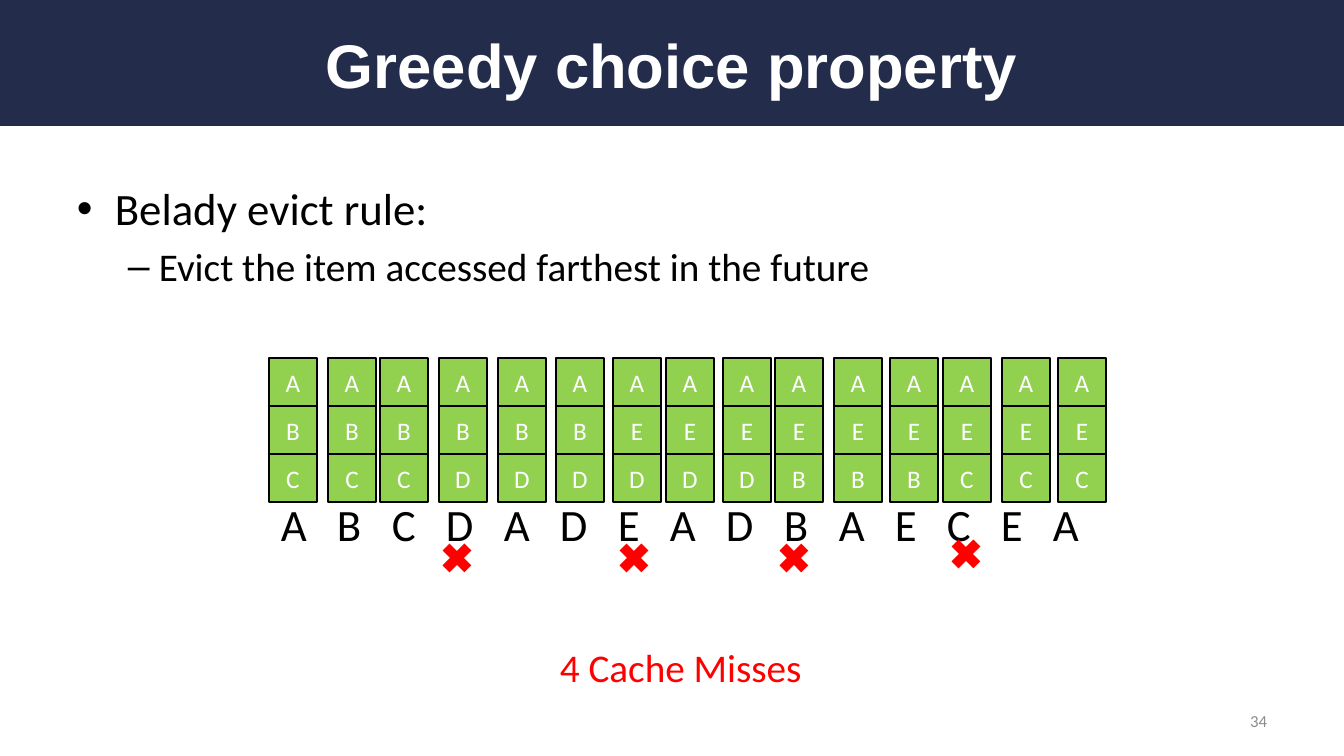
from dataclasses import dataclass
from itertools import accumulate

from lxml import etree
from pptx import Presentation
from pptx import util as u
from pptx.dml.color import RGBColor
from pptx.enum import shapes, text
from pptx.oxml import ns

NAVY = RGBColor(0x23, 0x2D, 0x4B)
GREEN = RGBColor(0x92, 0xD0, 0x50)
RED = RGBColor(0xFF, 0x00, 0x00)
GRAY = RGBColor(0x8C, 0x8C, 0x8C)
BLACK = RGBColor(0x00, 0x00, 0x00)
WHITE = RGBColor(0xFF, 0xFF, 0xFF)

CELL = 48
CACHE_TOP = 358
MISS_SIZE = 42
ACCESSES = "ABCDADEADBAECEA"
ADVANCE = {"A": 56, "B": 55, "C": 54, "D": 58, "E": 52}


@dataclass(frozen=True)
class Cache:
    left: int
    items: str


@dataclass(frozen=True)
class Miss:
    left: int
    top: int = 537


@dataclass(frozen=True)
class Bullet:
    label: str
    char: str
    size: int
    level: int
    margin: int
    hanging: int
    before: float


CACHES = [
    Cache(269, "ABC"), Cache(328, "ABC"), Cache(380, "ABC"),
    Cache(439, "ABD"), Cache(498, "ABD"), Cache(556, "ABD"),
    Cache(613, "AED"), Cache(666, "AED"), Cache(723, "AED"),
    Cache(775, "AEB"), Cache(834, "AEB"), Cache(890, "AEB"),
    Cache(943, "AEC"), Cache(1002, "AEC"), Cache(1058, "AEC"),
]
MISSES = [Miss(436), Miss(613), Miss(773), Miss(945, 533)]
BULLETS = [
    Bullet("Belady evict rule:", "•", 32, 0, 38, 38, 0),
    Bullet("Evict the item accessed farthest in the future", "–", 28, 1, 82, 31, 5.6),
]


def px(n: int) -> u.Emu:
    return u.Emu(round(n * 914400 / 100.8))


def write(p, label: str, *, size: int, color=BLACK, font="Calibri", bold=False,
          align=text.PP_ALIGN.LEFT) -> None:
    p.alignment = align
    r = p.add_run()
    r.text = label
    r.font.size = u.Pt(size)
    r.font.name = font
    r.font.bold = bold
    r.font.color.rgb = color


def add_box(s, left: int, top: int, width: int, height: int, *,
            anchor=text.MSO_ANCHOR.TOP, wrap=True):
    tf = s.shapes.add_textbox(px(left), px(top), px(width), px(height)).text_frame
    tf.word_wrap = wrap
    tf.vertical_anchor = anchor
    return tf


def add_solid(parent, kind, left: int, top: int, width: int, height: int, color):
    sp = parent.shapes.add_shape(kind, px(left), px(top), px(width), px(height))
    sp.shadow.inherit = False
    sp.fill.solid()
    sp.fill.fore_color.rgb = color
    sp.line.fill.background()
    return sp


def add_bullets(tf, bullets: list[Bullet]) -> None:
    for i, b in enumerate(bullets):
        p = tf.add_paragraph() if i else tf.paragraphs[0]
        p.level = b.level
        p.space_before = u.Pt(b.before)
        pr = p._p.get_or_add_pPr()
        pr.set("marL", str(px(b.margin)))
        pr.set("indent", str(-px(b.hanging)))
        etree.SubElement(pr, ns.qn("a:buFont")).set("typeface", "Arial")
        etree.SubElement(pr, ns.qn("a:buChar")).set("char", b.char)
        write(p, b.label, size=b.size)


def add_accesses(tf, accesses: str) -> None:
    p = tf.paragraphs[0]
    tabs = etree.SubElement(p._p.get_or_add_pPr(), ns.qn("a:tabLst"))
    for stop in accumulate(ADVANCE[item] for item in accesses[:-1]):
        tab = etree.SubElement(tabs, ns.qn("a:tab"))
        tab.set("pos", str(px(stop)))
        tab.set("algn", "l")
    write(p, "\t".join(accesses), size=32)


def add_cache(s, cache: Cache) -> None:
    group = s.shapes.add_group_shape()
    for row, item in enumerate(cache.items):
        sp = add_solid(group, shapes.MSO_SHAPE.RECTANGLE, cache.left,
                       CACHE_TOP + row * CELL, CELL, CELL, GREEN)
        sp.line.color.rgb = BLACK
        sp.line.width = u.Pt(2)
        tf = sp.text_frame
        tf.vertical_anchor = text.MSO_ANCHOR.MIDDLE
        write(tf.paragraphs[0], item, size=18, color=WHITE, align=text.PP_ALIGN.CENTER)


def main() -> None:
    prs = Presentation()
    prs.slide_width, prs.slide_height = px(1344), px(756)
    s = prs.slides.add_slide(prs.slide_layouts[6])
    middle = text.MSO_ANCHOR.MIDDLE

    add_solid(s, shapes.MSO_SHAPE.RECTANGLE, 0, 0, 1344, 126, NAVY)
    title = add_box(s, 67, 17, 1210, 93, anchor=middle)
    write(title.paragraphs[0], "Greedy choice property", size=44, color=WHITE,
          font="Arial", bold=True, align=text.PP_ALIGN.CENTER)
    add_bullets(add_box(s, 67, 176, 1210, 499), BULLETS)
    number = add_box(s, 964, 701, 313, 40, anchor=middle)
    write(number.paragraphs[0], "34", size=12, color=GRAY, align=text.PP_ALIGN.RIGHT)

    add_accesses(add_box(s, 271, 492, 830, 65), ACCESSES)
    for cache in CACHES:
        add_cache(s, cache)
    for miss in MISSES:
        add_solid(s, shapes.MSO_SHAPE.MATH_MULTIPLY, miss.left, miss.top,
                  MISS_SIZE, MISS_SIZE, RED)
    total = add_box(s, 550, 638, 265, 57, wrap=False)
    write(total.paragraphs[0], "4 Cache Misses", size=28, color=RED)

    prs.save("out.pptx")


if __name__ == "__main__":
    main()
